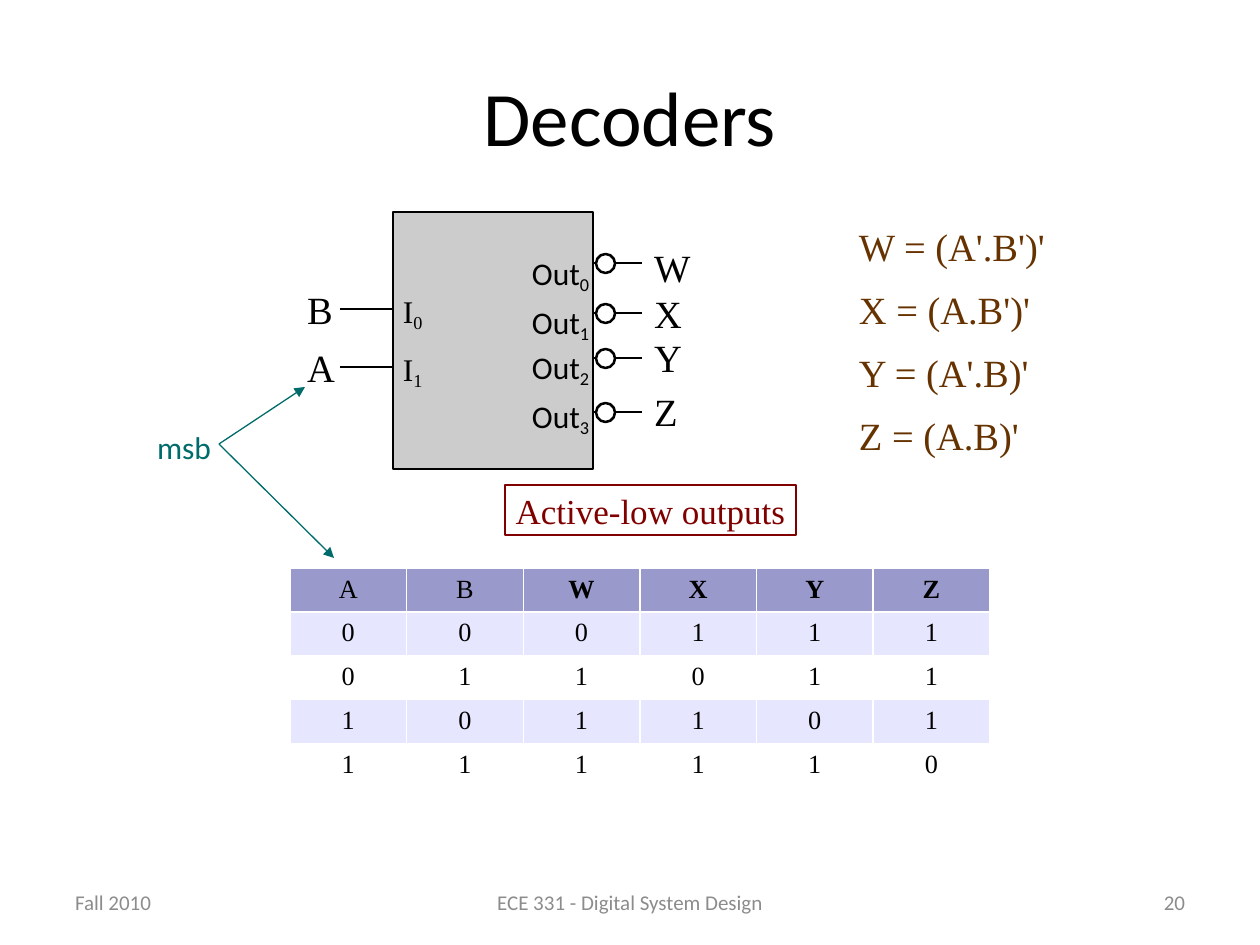
from lxml.etree import SubElement
from pptx import Presentation
from pptx.dml.color import RGBColor
from pptx.enum.shapes import MSO_CONNECTOR, MSO_SHAPE
from pptx.enum.text import MSO_ANCHOR, PP_ALIGN
from pptx.oxml.ns import qn
from pptx.util import Pt

PX = 914400 / 126
BLACK = RGBColor(0x00, 0x00, 0x00)
WHITE = RGBColor(0xFF, 0xFF, 0xFF)
GRAY = RGBColor(0x8C, 0x8C, 0x8C)
SILVER = RGBColor(0xCC, 0xCC, 0xCC)
TEAL = RGBColor(0x00, 0x6B, 0x6B)
BROWN = RGBColor(0x66, 0x33, 0x00)
MAROON = RGBColor(0x80, 0x00, 0x00)
HEADER_FILL = RGBColor(0x99, 0x99, 0xCC)
BAND_FILL = RGBColor(0xE6, 0xE6, 0xFF)
SANS = "Calibri"
SERIF = "Times New Roman"
TRUTH_TABLE = ["ABWXYZ", "000111", "011011", "101101", "111110"]


def px(*lengths):
    return [round(length * PX) for length in lengths]


def write(frame, text, *, size, font=SERIF, color=BLACK, align=PP_ALIGN.LEFT,
          anchor=MSO_ANCHOR.TOP, bold=False, subscript="", spacing=None,
          wrap=True, insets=(12, 8, 12, 6)):
    frame.word_wrap = wrap
    frame.vertical_anchor = anchor
    (frame.margin_left, frame.margin_top,
     frame.margin_right, frame.margin_bottom) = px(*insets)
    paragraph = frame.paragraphs[0]
    paragraph.alignment = align
    paragraph.line_spacing = spacing
    for part in filter(None, (text, subscript)):
        run = paragraph.add_run()
        run.text = part
        run.font.size = Pt(size)
        run.font.name = font
        run.font.bold = bold
        run.font.color.rgb = color
    if subscript:
        run.font._element.set("baseline", "-20000")


def add_text(slide, box, text, **format_options):
    shape = slide.shapes.add_textbox(*px(*box))
    write(shape.text_frame, text, **format_options)


def add_outlined(slide, kind, box, line, weight, fill=None):
    shape = slide.shapes.add_shape(kind, *px(*box))
    shape.shadow.inherit = False
    shape.line.color.rgb = line
    shape.line.width = Pt(weight)
    if fill is None:
        shape.fill.background()
    else:
        shape.fill.solid()
        shape.fill.fore_color.rgb = fill
    return shape


def add_line(slide, start, end, color, weight, arrow=False):
    line = slide.shapes.add_connector(MSO_CONNECTOR.STRAIGHT, *px(*start, *end))
    line.line.color.rgb = color
    line.line.width = Pt(weight)
    if arrow:
        SubElement(line.line._get_or_add_ln(), qn("a:tailEnd"), type="triangle")
    SubElement(line._element.spPr, qn("a:effectLst"))


def add_footer(slide, left, top, width, height):
    third = 294
    middle = 399
    parts = [
        (left, third, "Fall 2010", PP_ALIGN.LEFT),
        (left + (width - middle) / 2, middle, "ECE 331 - Digital System Design", PP_ALIGN.CENTER),
        (left + width - third, third, "20", PP_ALIGN.RIGHT),
    ]
    for part_left, part_width, text, align in parts:
        add_text(slide, (part_left, top, part_width, height), text, size=12, font=SANS,
                 color=GRAY, align=align, anchor=MSO_ANCHOR.MIDDLE)


def add_decoder(slide, left, top, width, height):
    inputs = [("B", 97), ("A", 155)]
    outputs = [("W", 51, 27, 34), ("X", 101, 73, 83), ("Y", 146, 117, 128), ("Z", 200, 171, 177)]
    right = left + width
    bubble = 19
    for _, wire in inputs:
        add_line(slide, (left - 53, top + wire), (left + 33, top + wire), BLACK, 1.45)
    for _, wire, _, _ in outputs:
        add_line(slide, (right - 36, top + wire), (right + 49, top + wire), BLACK, 1.45)
    add_outlined(slide, MSO_SHAPE.RECTANGLE, (left, top, width, height), BLACK, 0.75, SILVER)
    for index, (name, wire) in enumerate(inputs):
        add_text(slide, (left - 98, top + wire - 28, 58, 54), name, size=22, spacing=0.95)
        add_text(slide, (left - 2, top + wire - 25, 50, 50), "I", subscript=str(index),
                 size=18, spacing=0.95)
    for index, (name, wire, name_top, pin_top) in enumerate(outputs):
        add_text(slide, (right + 49, top + name_top, 58, 54), name, size=22, spacing=0.95)
        add_text(slide, (right - 73, top + pin_top, 90, 47), "Out", subscript=str(index),
                 size=18, font=SANS)
        add_outlined(slide, MSO_SHAPE.OVAL, (right + 3, top + wire - 9, bubble, bubble),
                     BLACK, 1.45, WHITE)


def add_equations(slide, left, top, width, height):
    equations = ["W = (A'.B')'", "X = (A.B')'", "Y = (A'.B)'", "Z = (A.B)'"]
    row_height = 54
    step = (height - row_height) / (len(equations) - 1)
    for index, equation in enumerate(equations):
        add_text(slide, (left, top + index * step, width, row_height), equation,
                 size=22, color=BROWN, spacing=0.95)


def add_msb_note(slide, left, top, width, height):
    add_text(slide, (left, top, width, height), "msb", size=18, font=SANS, color=TEAL,
             insets=(11, 8, 11, 5))
    start = (left + 73, top + 24)
    for end in ((left + 159, top - 33), (left + 188, top + 138)):
        add_line(slide, start, end, TEAL, 0.75, arrow=True)


def add_output_note(slide, *box):
    shape = add_outlined(slide, MSO_SHAPE.RECTANGLE, box, MAROON, 0.75)
    write(shape.text_frame, "Active-low outputs", size=20, color=MAROON, spacing=0.95,
          align=PP_ALIGN.CENTER, wrap=False, insets=(11, 8, 11, 5))


def add_truth_table(slide, *box):
    rows = len(TRUTH_TABLE)
    columns = len(TRUTH_TABLE[0])
    table = slide.shapes.add_table(rows, columns, *px(*box)).table
    for row, values in enumerate(TRUTH_TABLE):
        for column, value in enumerate(values):
            cell = table.cell(row, column)
            cell.fill.solid()
            cell.fill.fore_color.rgb = (HEADER_FILL if row == 0 else
                                        BAND_FILL if row % 2 else WHITE)
            insets = (11, 8, 11, 6)
            (cell.margin_left, cell.margin_top,
             cell.margin_right, cell.margin_bottom) = px(*insets)
            write(cell.text_frame, value, size=15, align=PP_ALIGN.CENTER, spacing=0.95,
                  bold=row == 0 and column > 1, insets=insets)


def main():
    presentation = Presentation()
    presentation.slide_width, presentation.slide_height = px(1260, 945)
    slide = presentation.slides.add_slide(presentation.slide_layouts[6])
    add_footer(slide, 63, 876, 1134, 50)
    add_text(slide, (63, 43, 1134, 146), "Decoders", size=44, font=SANS,
             align=PP_ALIGN.CENTER, anchor=MSO_ANCHOR.MIDDLE, insets=(12, 5, 12, 6))
    add_truth_table(slide, 290, 568, 700, 214)
    add_output_note(slide, 505, 485, 291, 50)
    add_equations(slide, 847, 218, 220, 243)
    add_msb_note(slide, 146, 420, 84, 43)
    add_decoder(slide, 393, 212, 200, 257)
    presentation.save("out.pptx")


if __name__ == "__main__":
    main()
